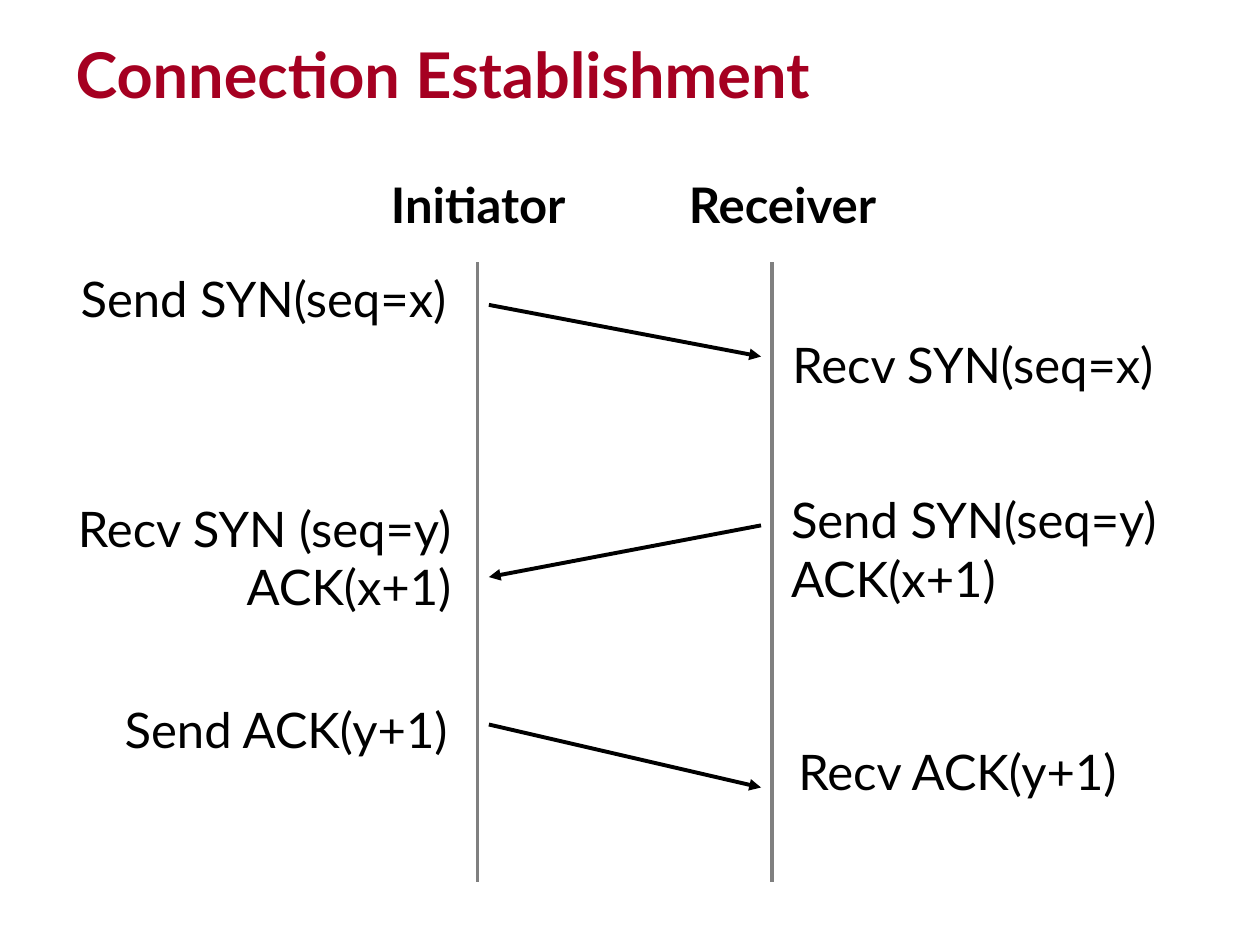
"""Build a slide showing the three-way handshake as a sequence diagram."""
from dataclasses import dataclass

from lxml.etree import SubElement
from pptx import Presentation
from pptx.dml.color import RGBColor
from pptx.enum.shapes import MSO_CONNECTOR
from pptx.enum.text import MSO_ANCHOR, MSO_AUTO_SIZE, PP_ALIGN
from pptx.oxml.ns import qn
from pptx.slide import Slide
from pptx.text.text import TextFrame
from pptx.util import Inches, Pt

FONT = "Lato"
BLACK, GRAY, RED = "000000", "808080", "A50021"
LINE_HEIGHT, PADDING = 0.47, 0.1
LIFELINE_TOP, LIFELINE_BOTTOM = 2.08, 7
INITIATOR_X, RECEIVER_X = 3.79, 6.13
ARROW_LEFT, ARROW_RIGHT = 3.88, 6.04


@dataclass(frozen=True)
class Label:
    text: str
    left: float
    top: float
    width: float
    alignment: PP_ALIGN
    bold: bool = False


@dataclass(frozen=True)
class Message:
    start_x: float
    start_y: float
    end_x: float
    end_y: float


LABELS = [
    Label("Initiator", 2.88, 1.33, 1.83, PP_ALIGN.CENTER, True),
    Label("Receiver", 5.28, 1.33, 1.86, PP_ALIGN.CENTER, True),
    Label("Send SYN(seq=x)", 0.4, 2.08, 3.24, PP_ALIGN.RIGHT),
    Label("Recv SYN(seq=x)", 6.19, 2.6, 3.18, PP_ALIGN.LEFT),
    Label("Send SYN(seq=y)\nACK(x+1)", 6.18, 3.83, 3.23, PP_ALIGN.LEFT),
    Label("Recv SYN (seq=y)\nACK(x+1)", 0.41, 3.9, 3.27, PP_ALIGN.RIGHT),
    Label("Send ACK(y+1)", 0.83, 5.5, 2.82, PP_ALIGN.RIGHT),
    Label("Recv ACK(y+1)", 6.21, 5.83, 2.75, PP_ALIGN.RIGHT),
]
MESSAGES = [
    Message(ARROW_LEFT, 2.42, ARROW_RIGHT, 2.83),
    Message(ARROW_RIGHT, 4.17, ARROW_LEFT, 4.58),
    Message(ARROW_LEFT, 5.75, ARROW_RIGHT, 6.25),
]


def color(value: str) -> RGBColor:
    return RGBColor.from_string(value)


def format_text(frame: TextFrame, size: float, text_color: str, bold: bool, alignment: PP_ALIGN) -> None:
    frame.vertical_anchor = MSO_ANCHOR.MIDDLE
    for paragraph in frame.paragraphs:
        paragraph.alignment = alignment
        for run in paragraph.runs:
            run.font.name = FONT
            run.font.size = Pt(size)
            run.font.bold = bold
            run.font.color.rgb = color(text_color)


def set_title(slide: Slide, text: str) -> None:
    title = slide.shapes.title
    title.left, title.top = Inches(0.5), Inches(0.25)
    title.width, title.height = Inches(9), Inches(0.67)
    title.text_frame.text = text
    title.text_frame.auto_size = MSO_AUTO_SIZE.NONE
    format_text(title.text_frame, 36, RED, True, PP_ALIGN.LEFT)


def draw_label(slide: Slide, label: Label) -> None:
    height = LINE_HEIGHT * len(label.text.splitlines()) + PADDING
    shape = slide.shapes.add_textbox(
        Inches(label.left), Inches(label.top), Inches(label.width), Inches(height)
    )
    frame = shape.text_frame
    frame.text = label.text
    frame.word_wrap = False
    frame.auto_size = MSO_AUTO_SIZE.SHAPE_TO_FIT_TEXT
    format_text(frame, 28, BLACK, label.bold, label.alignment)


def draw_line(slide: Slide, message: Message, line_color: str, arrow: bool = False) -> None:
    connector = slide.shapes.add_connector(
        MSO_CONNECTOR.STRAIGHT,
        Inches(message.start_x),
        Inches(message.start_y),
        Inches(message.end_x),
        Inches(message.end_y),
    )
    connector.line.color.rgb = color(line_color)
    connector.line.width = Pt(2.25)
    if arrow:
        SubElement(connector.line._get_or_add_ln(), qn("a:tailEnd"), type="triangle")
    SubElement(connector._element.spPr, qn("a:effectLst"))


def main() -> None:
    presentation = Presentation()
    presentation.slide_width, presentation.slide_height = Inches(10), Inches(7.5)
    slide = presentation.slides.add_slide(presentation.slide_layouts.get_by_name("Title Only"))
    set_title(slide, "Connection Establishment")
    for x in (INITIATOR_X, RECEIVER_X):
        draw_line(slide, Message(x, LIFELINE_TOP, x, LIFELINE_BOTTOM), GRAY)
    for label in LABELS:
        draw_label(slide, label)
    for message in MESSAGES:
        draw_line(slide, message, BLACK, arrow=True)
    presentation.save("out.pptx")


if __name__ == "__main__":
    main()
